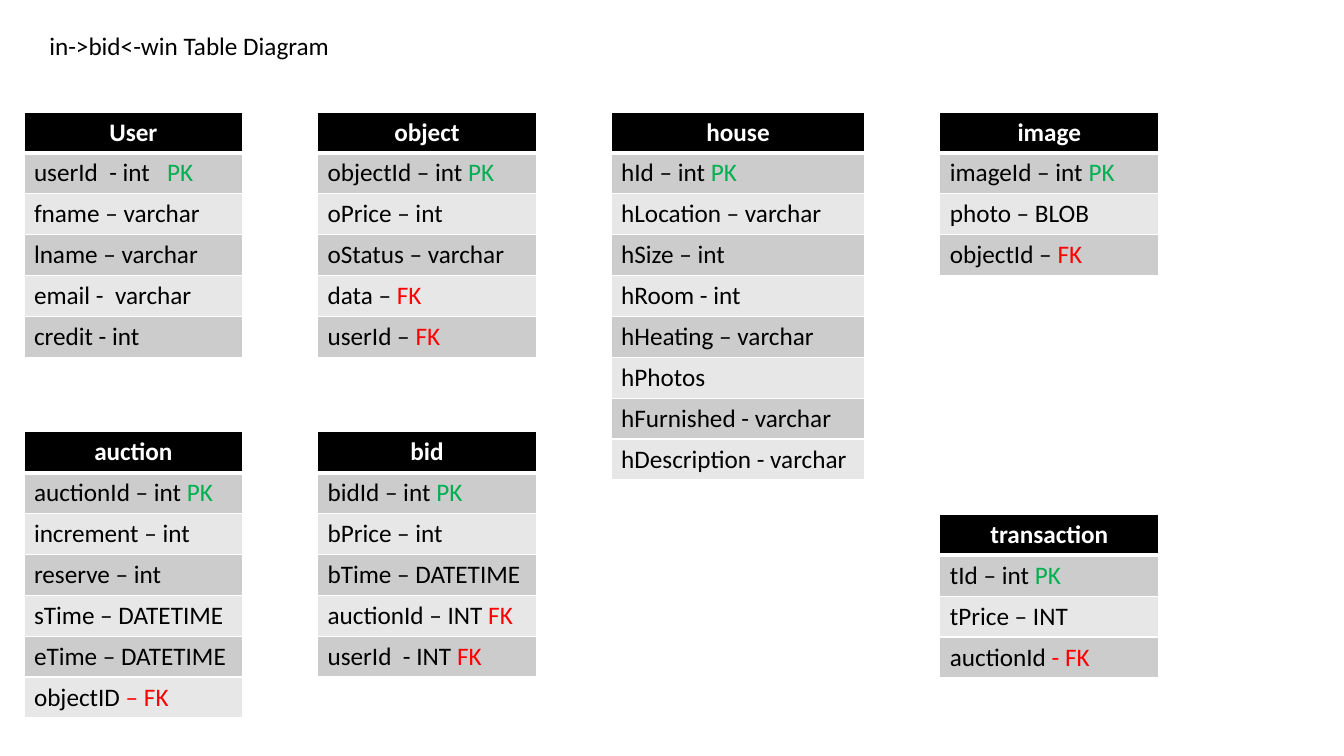
"""Build the database table diagram slide."""
from dataclasses import dataclass

from lxml.etree import SubElement
from pptx import Presentation
from pptx.dml.color import RGBColor as RGB
from pptx.enum.text import MSO_ANCHOR as Anchor
from pptx.enum.text import MSO_AUTO_SIZE as AutoSize
from pptx.enum.text import PP_ALIGN as Align
from pptx.oxml.ns import qn
from pptx.util import Pt


@dataclass(frozen=True)
class Theme:
    font: str = "Calibri"
    size: float = 18
    text: str = "000000"
    header_fill: str = "000000"
    header_text: str = "FFFFFF"
    border: str = "FFFFFF"
    bands: tuple[str, str] = ("CCCCCC", "E7E7E7")
    primary_key: str = "00B050"
    foreign_key: str = "FF0000"


@dataclass(frozen=True)
class Field:
    text: str
    pk: str = ""
    fk: str = ""


@dataclass(frozen=True)
class Entity:
    name: str
    x: float
    y: float
    fields: tuple[Field, ...]
    width: float = 156.4


THEME = Theme()
ROW_H = 29.2
THIN, THICK = 1, 3
COL_1, COL_2, COL_3 = (17.1 + 209.7 * i for i in range(3))
COL_4 = 671.3
TOP, LOWER, LOWEST = 80, 308.4, 367.4

ENTITIES = (
    Entity("User", COL_1, TOP, (
        Field("userId  - int   ", pk="PK"), Field("fname – varchar"),
        Field("lname – varchar"), Field("email -  varchar"), Field("credit - int"))),
    Entity("object", COL_2, TOP, (
        Field("objectId – int ", pk="PK"), Field("oPrice – int"),
        Field("oStatus – varchar"), Field("data – ", fk="FK"), Field("userId – ", fk="FK"))),
    Entity("house", COL_3, TOP, (
        Field("hId – int ", pk="PK"), Field("hLocation – varchar"), Field("hSize – int"),
        Field("hRoom - int"), Field("hHeating – varchar"), Field("hPhotos"),
        Field("hFurnished - varchar"), Field("hDescription - varchar")), width=181.4),
    Entity("image", COL_4, TOP, (
        Field("imageId – int ", pk="PK"), Field("photo – BLOB"), Field("objectId – ", fk="FK"))),
    Entity("auction", COL_1, LOWER, (
        Field("auctionId – int ", pk="PK"), Field("increment – int"), Field("reserve – int"),
        Field("sTime – DATETIME"), Field("eTime – DATETIME"), Field("objectID", fk=" – FK"))),
    Entity("bid", COL_2, LOWER, (
        Field("bidId – int ", pk="PK"), Field("bPrice – int"), Field("bTime – DATETIME"),
        Field("auctionId – INT ", fk="FK"), Field("userId  - INT ", fk="FK"))),
    Entity("transaction", COL_4, LOWEST, (
        Field("tId – int ", pk="PK"), Field("tPrice – INT"), Field("auctionId", fk=" - FK"))),
)


def add_run(p, text: str, color: str, bold: bool = False) -> None:
    r = p.add_run()
    r.text = text
    r.font.name = THEME.font
    r.font.size = Pt(THEME.size)
    r.font.bold = bold
    r.font.color.rgb = RGB.from_string(color)


def style_cell(cell, fill: str, top: float = THIN, bottom: float = THIN) -> None:
    tc_pr = cell._tc.get_or_add_tcPr()
    for side, width in (("L", THIN), ("R", THIN), ("T", top), ("B", bottom)):
        ln = SubElement(tc_pr, qn(f"a:ln{side}"), w=str(Pt(width)))
        SubElement(SubElement(ln, qn("a:solidFill")), qn("a:srgbClr"), val=THEME.border)
    cell.fill.solid()
    cell.fill.fore_color.rgb = RGB.from_string(fill)


def add_entity(s, entity: Entity) -> None:
    rows = len(entity.fields) + 1
    table = s.shapes.add_table(rows, 1, Pt(entity.x), Pt(entity.y),
                               Pt(entity.width), Pt(ROW_H * rows)).table
    for row in table.rows:
        row.height = Pt(ROW_H)

    header = table.cell(0, 0)
    style_cell(header, THEME.header_fill, bottom=THICK)
    p = header.text_frame.paragraphs[0]
    p.alignment = Align.CENTER
    add_run(p, entity.name, THEME.header_text, bold=True)

    for i, field in enumerate(entity.fields):
        cell = table.cell(i + 1, 0)
        style_cell(cell, THEME.bands[i % 2], top=THIN if i else THICK)
        p = cell.text_frame.paragraphs[0]
        for text, color in ((field.text, THEME.text), (field.pk, THEME.primary_key),
                            (field.fk, THEME.foreign_key)):
            if text:
                add_run(p, text, color)


def add_title(s, text: str) -> None:
    title = s.shapes.title
    title.left, title.top, title.width, title.height = Pt(28), Pt(17.7), Pt(217), Pt(29)
    tf = title.text_frame
    tf.word_wrap = False
    tf.auto_size = AutoSize.SHAPE_TO_FIT_TEXT
    tf.vertical_anchor = Anchor.TOP
    p = tf.paragraphs[0]
    p.alignment = Align.LEFT
    add_run(p, text, THEME.text)


def main() -> None:
    prs = Presentation()
    prs.slide_width, prs.slide_height = Pt(960), Pt(540)
    s = prs.slides.add_slide(prs.slide_layouts.get_by_name("Title Only"))
    add_title(s, "in->bid<-win Table Diagram")
    for entity in ENTITIES:
        add_entity(s, entity)
    prs.save("out.pptx")


main()
